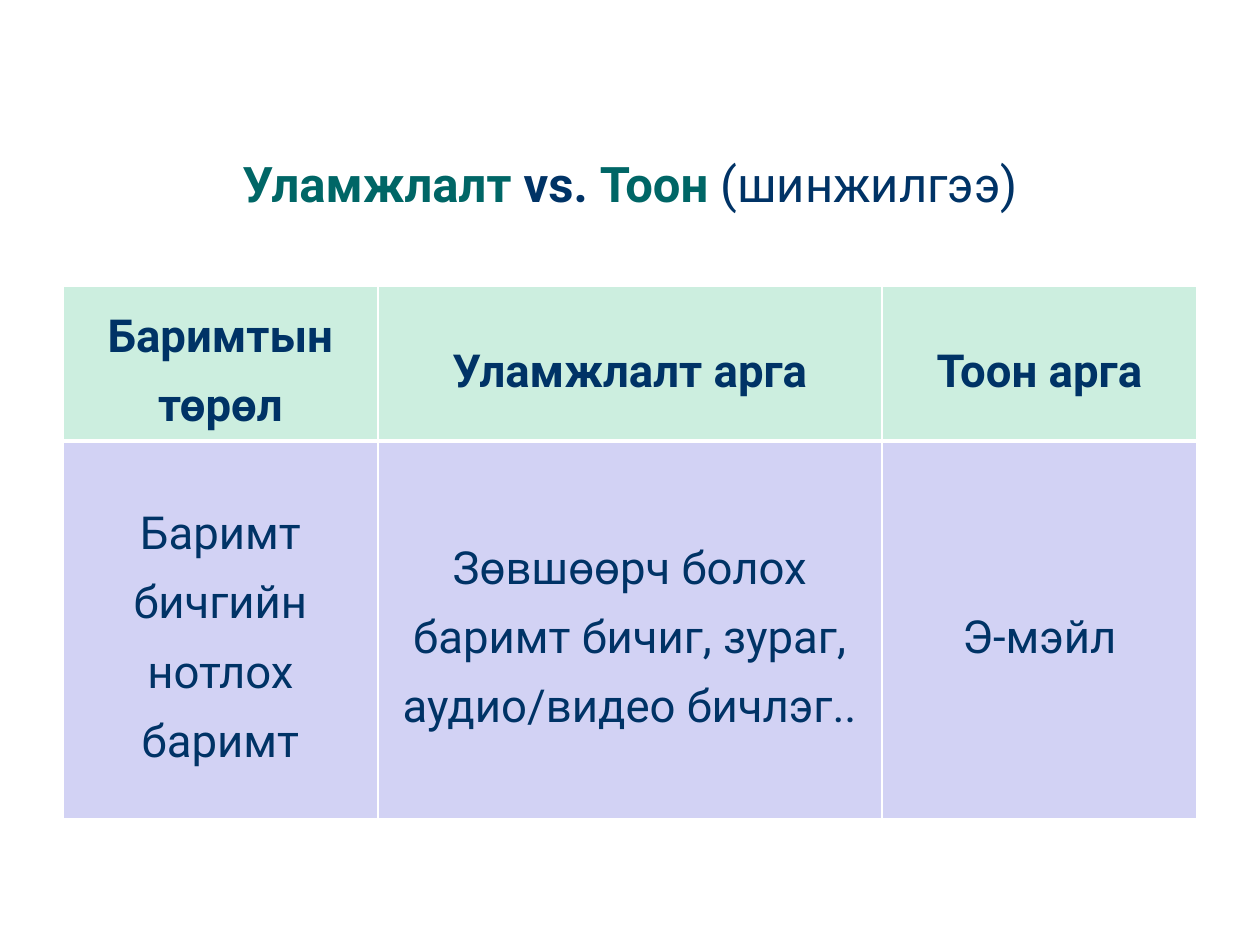
"""Build a slide comparing traditional and digital evidence analysis."""
from dataclasses import dataclass

from lxml import etree
from pptx import Presentation
from pptx.dml.color import RGBColor
from pptx.enum import text as t
from pptx.oxml import ns
from pptx.util import Inches, Pt

COLORS = {
    "navy": "003366",
    "teal": "006666",
    "mint": "CCEEDF",
    "lavender": "D2D2F4",
    "white": "FFFFFF",
}
FONT = "Roboto"


@dataclass(frozen=True)
class TableRow:
    height: float
    fill: str
    bold: bool
    borders: dict[str, int]
    texts: tuple[str, ...]


COLUMN_WIDTHS = (2.5, 4, 2.5)
ROWS = (
    TableRow(1.23, "mint", True, {"L": 1, "R": 1, "T": 1, "B": 3},
             ("Баримтын төрөл", "Уламжлалт арга", "Тоон арга")),
    TableRow(3, "lavender", False, {"L": 1, "R": 1, "T": 3, "B": 1},
             ("Баримт бичгийн нотлох баримт",
              "Зөвшөөрч болох баримт бичиг, зураг, аудио/видео бичлэг..",
              "Э-мэйл")),
)


def add_text(paragraph, content: str, *, size: int, color: str = "navy",
             bold: bool = False, spacing: float = 1.3) -> None:
    paragraph.alignment = t.PP_ALIGN.CENTER
    paragraph.line_spacing = spacing
    run = paragraph.add_run()
    run.text = content
    run.font.name = FONT
    run.font.size = Pt(size)
    run.font.bold = bold
    run.font.color.rgb = RGBColor.from_string(COLORS[color])


def set_borders(cell, widths: dict[str, int]) -> None:
    properties = cell._tc.get_or_add_tcPr()
    for position, (side, width) in enumerate(widths.items()):
        line = etree.Element(ns.qn(f"a:ln{side}"), w=str(Pt(width)))
        fill = etree.SubElement(line, ns.qn("a:solidFill"))
        etree.SubElement(fill, ns.qn("a:srgbClr"), val=COLORS["white"])
        properties.insert(position, line)


def add_title(slide) -> None:
    title = slide.shapes.title
    title.left, title.top = Inches(0.5), Inches(0.92)
    title.width, title.height = Inches(9), Inches(1)
    frame = title.text_frame
    frame.auto_size = t.MSO_AUTO_SIZE.NONE
    frame.word_wrap = True
    frame.vertical_anchor = t.MSO_ANCHOR.MIDDLE
    frame.margin_left = frame.margin_right = 0
    frame.margin_top = frame.margin_bottom = 0
    for content, color, bold in (
        ("Уламжлалт ", "teal", True),
        ("vs. ", "navy", True),
        ("Тоон ", "teal", True),
        ("(шинжилгээ)", "navy", False),
    ):
        add_text(frame.paragraphs[0], content, size=28, color=color,
                 bold=bold, spacing=1.14)


def add_comparison_table(slide) -> None:
    table = slide.shapes.add_table(
        len(ROWS), len(COLUMN_WIDTHS), Inches(0.5), Inches(2.27),
        Inches(sum(COLUMN_WIDTHS)), Inches(sum(row.height for row in ROWS)),
    ).table
    for column, width in zip(table.columns, COLUMN_WIDTHS):
        column.width = Inches(width)
    for table_row, row in zip(table.rows, ROWS):
        table_row.height = Inches(row.height)
        for cell, content in zip(table_row.cells, row.texts):
            cell.fill.solid()
            cell.fill.fore_color.rgb = RGBColor.from_string(COLORS[row.fill])
            cell.vertical_anchor = t.MSO_ANCHOR.MIDDLE
            set_borders(cell, row.borders)
            add_text(cell.text_frame.paragraphs[0], content, size=26,
                     bold=row.bold)


def main() -> None:
    presentation = Presentation()
    presentation.slide_width = Inches(10)
    presentation.slide_height = Inches(7.5)
    slide = presentation.slides.add_slide(presentation.slide_layouts[5])
    add_comparison_table(slide)
    add_title(slide)
    presentation.save("out.pptx")


if __name__ == "__main__":
    main()
